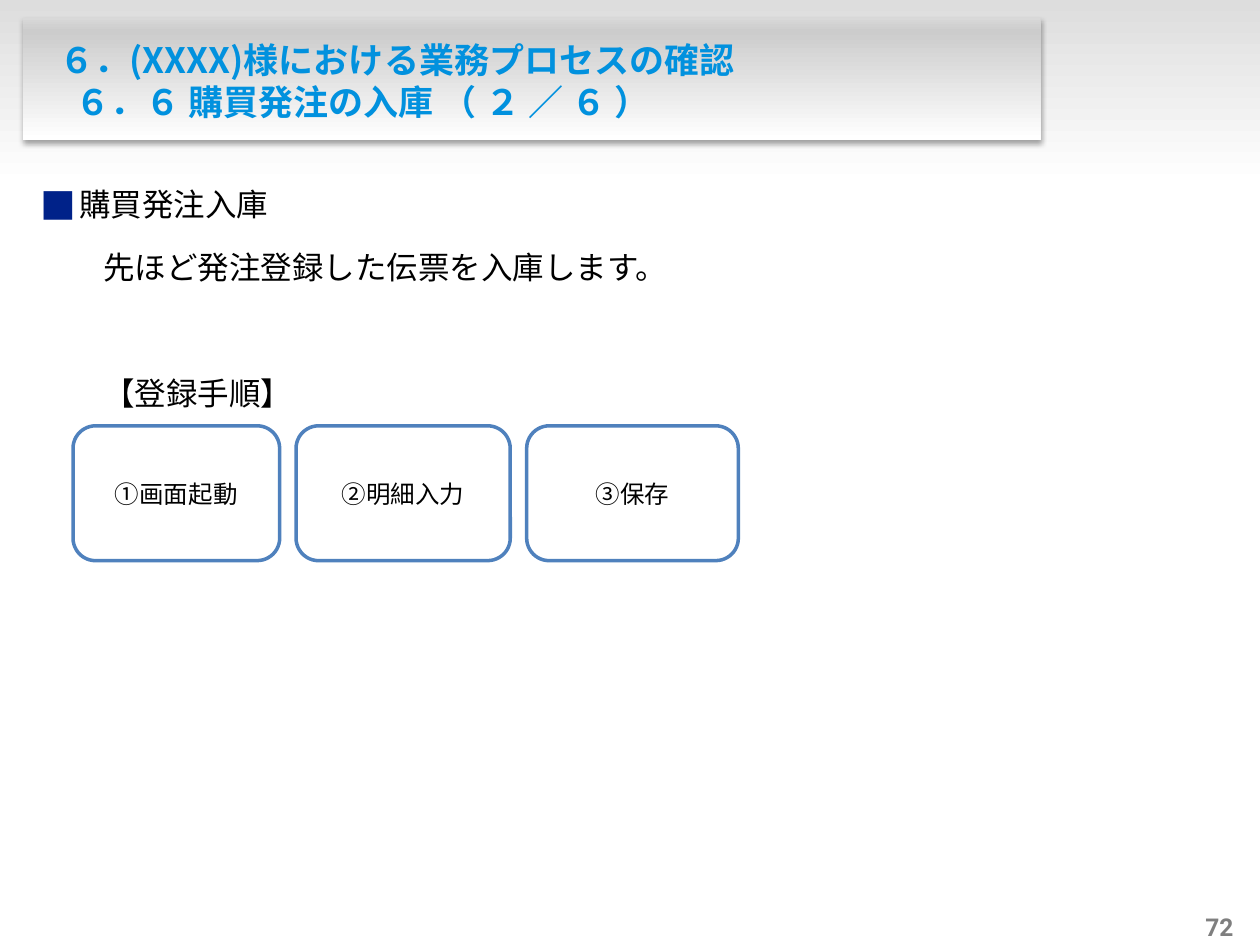
from dataclasses import dataclass

from lxml import etree
from pptx import Presentation
from pptx.dml.color import RGBColor
from pptx.enum.shapes import MSO_SHAPE
from pptx.enum.text import MSO_ANCHOR, PP_ALIGN
from pptx.oxml.ns import qn
from pptx.util import Inches, Pt

RECT, ROUND = MSO_SHAPE.RECTANGLE, MSO_SHAPE.ROUNDED_RECTANGLE
TOP, MIDDLE, BOTTOM = MSO_ANCHOR.TOP, MSO_ANCHOR.MIDDLE, MSO_ANCHOR.BOTTOM
LEFT, CENTER, RIGHT = PP_ALIGN.LEFT, PP_ALIGN.CENTER, PP_ALIGN.RIGHT


@dataclass(frozen=True)
class Theme:
    font: str = "Noto Sans CJK JP"
    number_font: str = "Roboto"
    title: str = "0191DE"
    ink: str = "000000"
    number: str = "7F7F7F"
    bullet: str = "002289"
    box_line: str = "4F81BD"
    white: str = "FFFFFF"
    band: tuple = ((0, "DDDDDD"), (100, "FFFFFF"))
    panel: tuple = ((0, "D9D9D9"), (11, "CCCCCC"), (100, "FFFFFF"))
    title_size: int = 20
    body_size: int = 18
    step_size: int = 14


def add_xml(parent, tag, **attrs):
    return etree.SubElement(parent, qn(tag), {k: str(v) for k, v in attrs.items()})


class SlideBuilder:
    def __init__(self, slide, theme):
        self.s = slide
        self.theme = theme

    def shape(self, kind, left, top, width, height):
        sp = self.s.shapes.add_shape(
            kind, Inches(left), Inches(top), Inches(width), Inches(height))
        sp.shadow.inherit = False
        sp.line.fill.background()
        return sp

    def gradient(self, left, top, width, height, stops):
        sp = self.shape(RECT, left, top, width, height)
        sp.fill.gradient()
        sp.fill.gradient_angle = 270
        stop_list = sp.element.spPr.find(".//" + qn("a:gsLst"))
        for stop in list(stop_list):
            stop_list.remove(stop)
        for pos, color in stops:
            add_xml(add_xml(stop_list, "a:gs", pos=pos * 1000), "a:srgbClr", val=color)
        return sp

    def drop_shadow(self, sp):
        effects = sp.element.spPr.find(qn("a:effectLst"))
        shadow = add_xml(effects, "a:outerShdw", blurRad=Pt(3.1), dist=Pt(1.8),
                         dir=90 * 60000, rotWithShape=0)
        add_xml(add_xml(shadow, "a:srgbClr", val="000000"), "a:alpha", val=35000)

    def textbox(self, left, top, width, height, anchor=TOP, insets=(0, 0, 0, 0), wrap=True):
        tf = self.s.shapes.add_textbox(
            Inches(left), Inches(top), Inches(width), Inches(height)).text_frame
        tf.word_wrap = wrap
        tf.vertical_anchor = anchor
        tf.margin_left, tf.margin_top, tf.margin_right, tf.margin_bottom = map(Inches, insets)
        return tf

    def paragraph(self, tf, text, size, color, first=True, align=LEFT, bold=False,
                  font=None, margin=0, bullet=None, before=0, line=None):
        p = tf.paragraphs[0] if first else tf.add_paragraph()
        p.add_run().text = text
        p.alignment = align
        if line:
            p.line_spacing = Pt(line)
        if before:
            p.space_before = Pt(before)
        pPr = p._p.get_or_add_pPr()
        if margin:
            pPr.set("marL", str(Inches(margin)))
            pPr.set("indent", str(Inches(-margin if bullet else 0)))
        if bullet:
            add_xml(add_xml(pPr, "a:buClr"), "a:srgbClr", val=self.theme.bullet)
            add_xml(pPr, "a:buSzPct", val=113000)
            add_xml(pPr, "a:buFont", typeface=self.theme.font)
            add_xml(pPr, "a:buChar", char=bullet)
        name = font or self.theme.font
        p.font.size = Pt(size)
        p.font.bold = bold
        p.font.name = name
        p.font.color.rgb = RGBColor.from_string(color)
        for r in p.runs:
            add_xml(r._r.get_or_add_rPr(), "a:ea", typeface=name)

    def step(self, text, left, top, width, height):
        t = self.theme
        sp = self.shape(ROUND, left, top, width, height)
        sp.fill.solid()
        sp.fill.fore_color.rgb = RGBColor.from_string(t.white)
        sp.line.color.rgb = RGBColor.from_string(t.box_line)
        sp.line.width = Pt(2)
        tf = sp.text_frame
        tf.vertical_anchor = MIDDLE
        self.paragraph(tf, text, t.step_size, t.ink, align=CENTER)


def main():
    prs = Presentation()
    prs.slide_width, prs.slide_height = Inches(10), Inches(7.5)
    t = Theme()
    b = SlideBuilder(prs.slides.add_slide(prs.slide_layouts[6]), t)

    b.gradient(0, 0, 10, 1.47, t.band)
    b.drop_shadow(b.gradient(0.18, 0.14, 8.08, 0.97, t.panel))

    tf = b.textbox(0.28, 0.26, 7.86, 0.75, MIDDLE, (0, 0.05, 0.05, 0.05))
    titles = (("６．(XXXX)様における業務プロセスの確認", 0.19),
              ("６．６ 購買発注の入庫 （ ２ ／ ６ ）", 0.32))
    for i, (text, margin) in enumerate(titles):
        b.paragraph(tf, text, t.title_size, t.title, first=i == 0, bold=True,
                    margin=margin, line=24)

    tf = b.textbox(0.22, 1.27, 9.65, 5.74, insets=(0.1, 0.05, 0.1, 0.05))
    body = (("購買発注入庫", 0.31, "■", 0),
            ("先ほど発注登録した伝票を入庫します。", 0.5, None, 3.6),
            ("【登録手順】", 0.5, None, 39.6))
    for i, (text, margin, bullet, before) in enumerate(body):
        b.paragraph(tf, text, t.body_size, t.ink, first=i == 0, margin=margin,
                    bullet=bullet, before=before, line=32.4)

    left, gap = 0.58, 0.13
    for text, width in (("①画面起動", 1.64), ("②明細入力", 1.7), ("③保存", 1.68)):
        b.step(text, left, 3.38, width, 1.07)
        left += width + gap

    tf = b.textbox(9.46, 7.23, 0.33, 0.24, BOTTOM, wrap=False)
    b.paragraph(tf, "72", t.step_size, t.number, align=RIGHT, bold=True, font=t.number_font)

    prs.save("out.pptx")


if __name__ == "__main__":
    main()
